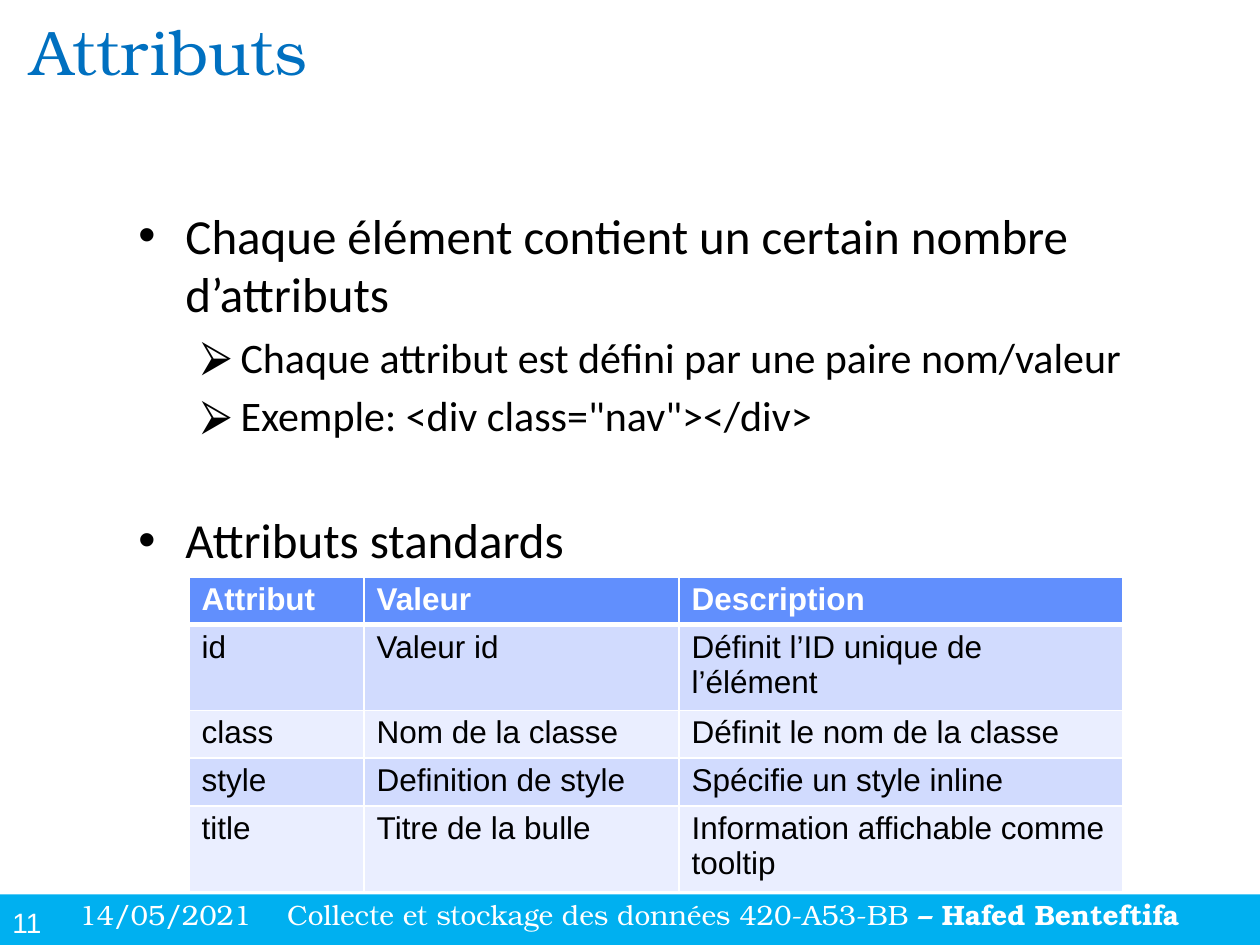
from dataclasses import dataclass
from lxml.etree import SubElement
from pptx import Presentation
from pptx.dml.color import RGBColor
from pptx.enum.shapes import MSO_SHAPE
from pptx.oxml import parse_xml
from pptx.oxml.ns import nsdecls, qn
from pptx.util import Cm, Pt


@dataclass(frozen=True)
class Theme:
    """Colours, fonts and type sizes of the slide."""
    bar: str = "00B0F0"
    title: str = "0070C0"
    ink: str = "000000"
    paper: str = "FFFFFF"
    head: str = "618FFD"
    bands: tuple = ("D1DBFE", "EAEEFF")
    serif: str = "TeX Gyre Bonum"
    body: str = "Calibri"
    plain: str = "Arial"
    large: int = 36
    main: int = 28
    sub: int = 24
    cell: int = 18
    foot: int = 16


@dataclass(frozen=True)
class Level:
    """Look of one bullet level."""
    mark: str
    left: float
    hang: float
    size: int


@dataclass(frozen=True)
class Point:
    """One bullet line and the space before it."""
    text: str
    level: Level
    before: float = 0


THEME = Theme()
MAIN = Level("•", 0.95, 0.95, THEME.main)
SUB = Level("⮚", 2.06, 0.79, THEME.sub)
POINTS = (
    Point("Chaque élément contient un certain nombre d’attributs", MAIN),
    Point("Chaque attribut est défini par une paire nom/valeur", SUB, 4.8),
    Point('Exemple: <div class="nav"></div>', SUB, 4.8),
    Point("Attributs standards", MAIN, 39.7),
)
ROWS = (
    ("Attribut", "Valeur", "Description"),
    ("id", "Valeur id", "Définit l’ID unique de l’élément"),
    ("class", "Nom de la classe", "Définit le nom de la classe"),
    ("style", "Definition de style", "Spécifie un style inline"),
    ("title", "Titre de la bulle", "Information affichable comme tooltip"),
)
WIDTHS = (3.53, 6.35, 8.94)
HEIGHTS = (0.95, 1.7, 0.95, 0.95, 1.7)
INSET = 0.1


def style(font, size: int, face: str, tint: str, bold: bool = False) -> None:
    """Set the look of a font."""
    font.size, font.name, font.bold = Pt(size), face, bold
    font.color.rgb = RGBColor.from_string(tint)


def add_box(slide, left: float, top: float, width: float, height: float):
    """Add a wrapping text box and return its frame."""
    frame = slide.shapes.add_textbox(Cm(left), Cm(top), Cm(width), Cm(height)).text_frame
    frame.word_wrap = True
    return frame


def add_line(frame, text: str, size: int, face: str, tint: str):
    """Write the first line of a frame."""
    line = frame.paragraphs[0]
    line.text = text
    style(line.runs[0].font, size, face, tint)
    return line


def add_foot(slide) -> None:
    """Draw the footer bar with its number and text."""
    bar = slide.shapes.add_shape(MSO_SHAPE.RECTANGLE, 0, Cm(18.03), Cm(25.4), Cm(1.02))
    bar.shadow.inherit = False
    bar.fill.solid()
    bar.fill.fore_color.rgb = RGBColor.from_string(THEME.bar)
    bar.line.fill.background()
    add_line(add_box(slide, 0, 18.14, 1.47, 1.63), "11", THEME.foot, THEME.plain, THEME.paper)
    frame = add_box(slide, 1.35, 17.96, 24.05, 1.63)
    stops = SubElement(frame.paragraphs[0]._p.get_or_add_pPr(), qn("a:tabLst"))
    SubElement(stops, qn("a:tab"), pos=str(Cm(4.19)), algn="l")
    line = add_line(frame, "14/05/2021\tCollecte et stockage des données 420-A53-BB",
                    THEME.foot, THEME.serif, THEME.paper)
    name = line.add_run()
    name.text = " – Hafed Benteftifa"
    style(name.font, THEME.foot, THEME.serif, THEME.paper, True)


def add_points(slide, points: tuple[Point, ...]) -> None:
    """Write the bullet list."""
    frame = add_box(slide, 2.54, 4.01, 21.59, 7.62)
    for rank, point in enumerate(points):
        line = frame.add_paragraph() if rank else frame.paragraphs[0]
        line.text = point.text
        level = point.level
        props = line._p.get_or_add_pPr()
        props.set("marL", str(Cm(level.left)))
        props.set("indent", str(-Cm(level.hang)))
        tint = SubElement(props, qn("a:buClr"))
        SubElement(tint, qn("a:srgbClr"), val=THEME.ink)
        SubElement(props, qn("a:buFont"), typeface=THEME.plain)
        SubElement(props, qn("a:buChar"), char=level.mark)
        if level is SUB:
            line.level = 1
        if point.before:
            line.space_before = Pt(point.before)
        style(line.runs[0].font, level.size, THEME.body, THEME.ink)


def add_edges(cell, base: int) -> None:
    """Draw the four borders of a cell."""
    props = cell._tc.get_or_add_tcPr()
    for rank, side in enumerate("LRTB"):
        width = Pt(base if side == "B" else 1)
        props.insert(rank, parse_xml(
            f'<a:ln{side} {nsdecls("a")} w="{width}"><a:solidFill>'
            f'<a:srgbClr val="{THEME.paper}"/></a:solidFill></a:ln{side}>'))


def add_grid(slide) -> None:
    """Build the table of attributes."""
    grid = slide.shapes.add_table(len(ROWS), len(WIDTHS), Cm(3.81), Cm(11.63),
                                  Cm(sum(WIDTHS)), Cm(sum(HEIGHTS))).table
    for column, width in zip(grid.columns, WIDTHS):
        column.width = Cm(width)
    for row, (texts, height) in enumerate(zip(ROWS, HEIGHTS)):
        grid.rows[row].height = Cm(height)
        head = row == 0
        for cell, text in zip(grid.rows[row].cells, texts):
            cell.text_frame.text = text
            cell.margin_top = cell.margin_bottom = Cm(INSET)
            style(cell.text_frame.paragraphs[0].runs[0].font, THEME.cell, THEME.plain,
                  THEME.paper if head else THEME.ink, head)
            cell.fill.solid()
            fill = THEME.head if head else THEME.bands[(row - 1) % 2]
            cell.fill.fore_color.rgb = RGBColor.from_string(fill)
            add_edges(cell, 3 if head else 1)


def main() -> None:
    """Build and save the slide."""
    deck = Presentation()
    deck.slide_width, deck.slide_height = Cm(25.4), Cm(19.05)
    slide = deck.slides.add_slide(deck.slide_layouts[6])
    add_foot(slide)
    add_line(add_box(slide, 0.36, 0.13, 24.59, 2.36), "Attributs",
             THEME.large, THEME.serif, THEME.title)
    add_points(slide, POINTS)
    add_grid(slide)
    deck.save("out.pptx")


if __name__ == "__main__":
    main()
